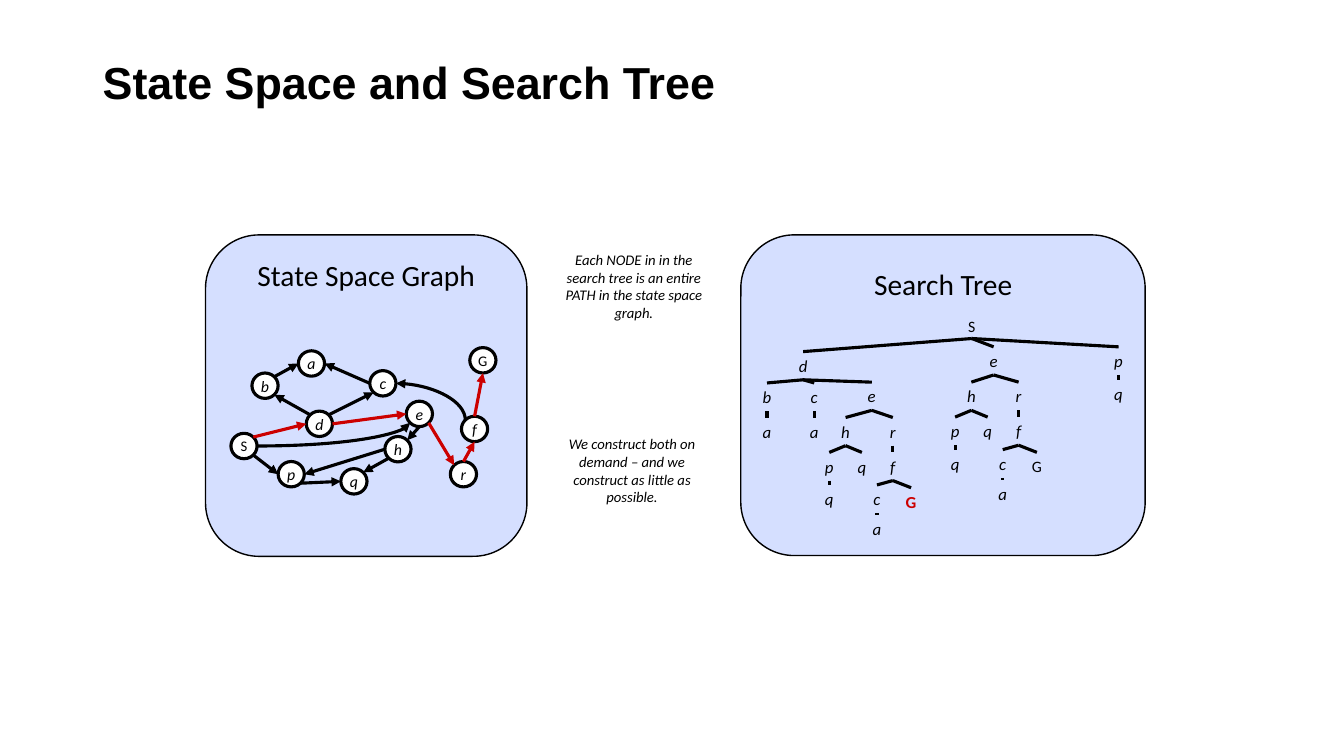
"""Builds a slide that sets a state space graph beside its search tree."""
from math import cos, radians, sin

from lxml import etree
from pptx import Presentation
from pptx.dml.color import RGBColor
from pptx.enum.shapes import MSO_CONNECTOR, MSO_SHAPE
from pptx.enum.text import MSO_ANCHOR, MSO_AUTO_SIZE, PP_ALIGN
from pptx.oxml.ns import qn
from pptx.util import Cm, Pt

STRAIGHT, CURVE = MSO_CONNECTOR.STRAIGHT, MSO_CONNECTOR.CURVE
ROUNDED, CIRCLE = MSO_SHAPE.ROUNDED_RECTANGLE, MSO_SHAPE.FLOWCHART_CONNECTOR
MIDDLE, CENTER = MSO_ANCHOR.MIDDLE, PP_ALIGN.CENTER
GROW = MSO_AUTO_SIZE.SHAPE_TO_FIT_TEXT
BLACK, RED, WHITE, PANEL = "000000", "CC0000", "FFFFFF", "D5DFFF"
color = RGBColor.from_string

prs = Presentation()
prs.slide_width, prs.slide_height = Cm(33.87), Cm(19.05)
slide = prs.slides.add_slide(prs.slide_layouts[6])
shapes = slide.shapes


def add_text(text, left, top, width, height, size, italic=False, bold=False, ink=BLACK):
    """Add a centred text box and return its frame."""
    frame = shapes.add_textbox(Cm(left), Cm(top), Cm(width), Cm(height)).text_frame
    frame.word_wrap = True
    frame.auto_size = GROW
    frame.margin_left = frame.margin_right = Cm(0.18)
    frame.margin_top = frame.margin_bottom = Cm(0.1)
    frame.text = text
    paragraph = frame.paragraphs[0]
    paragraph.alignment = CENTER
    font = paragraph.runs[0].font
    font.name, font.size, font.italic, font.bold = "Calibri", Pt(size), italic, bold
    font.color.rgb = color(ink)
    return frame


def add_link(start, end, ink=BLACK, kind=STRAIGHT, arrow=False):
    """Add a connector between two points and return it."""
    link = shapes.add_connector(kind, *(Cm(value) for value in (*start, *end)))
    link.line.color.rgb = color(ink)
    link.line.width = Pt(2.25)
    if arrow:
        etree.SubElement(link.line._get_or_add_ln(), qn("a:tailEnd"), type="triangle")
    etree.SubElement(link._element.spPr, qn("a:effectLst"))
    return link


heading = add_text("State Space and Search Tree", 2.34, 1.02, 29.21, 2.26, 32, bold=True)
heading.auto_size = MSO_AUTO_SIZE.NONE
heading.margin_left = heading.margin_right = Cm(0.25)
heading.vertical_anchor = MIDDLE
heading.paragraphs[0].alignment = PP_ALIGN.LEFT
heading.paragraphs[0].line_spacing = 0.9
heading.paragraphs[0].runs[0].font.name = "Arial"

for left, width, height in [(18.67, 10.19, 8.08), (5.18, 8.1, 8.1)]:
    panel = shapes.add_shape(ROUNDED, Cm(left), Cm(5.92), Cm(width), Cm(height))
    panel.shadow.inherit = False
    panel.fill.solid()
    panel.fill.fore_color.rgb = color(PANEL)
    panel.line.color.rgb = color(BLACK)
    panel.line.width = Pt(1)

# Each entry: key, parent key, centre x, top
tree = [
    ("S", None, 24.49, 7.87),
    ("d", "S", 20.24, 8.86), ("e2", "S", 25.04, 8.74), ("p", "S", 28.19, 8.74),
    ("q", "p", 28.19, 9.58),
    ("b", "d", 19.33, 9.65), ("c", "d", 20.52, 9.65), ("e1", "d", 21.97, 9.63),
    ("a3", "b", 19.33, 10.54), ("a4", "c", 20.52, 10.54),
]
below_e = [
    ("h", "e", 21.31, 10.52), ("r", "e", 22.5, 10.52),
    ("p", "h", 20.9, 11.4), ("q", "h", 21.72, 11.4), ("f", "r", 22.5, 11.4),
    ("qq", "p", 20.9, 12.22), ("c", "f", 22.1, 12.22), ("G", "f", 22.96, 12.29),
    ("a", "c", 22.1, 12.98),
]
for branch, shift_x, shift_y in [("1", 0, 0), ("2", 3.17, -0.89)]:
    for key, parent, x, top in below_e:
        tree.append((key + branch, parent + branch, x + shift_x, top + shift_y))

row_height = 0.71
bottoms = {}
for key, parent, x, top in tree:
    letter = key[0]
    goal = key == "G1"
    width = 1.32 if letter.isupper() else 0.66
    size = 11.25 if letter.isupper() and not goal else 12
    add_text(letter, x - width / 2, top, width, row_height, size,
             letter.islower(), goal, RED if goal else BLACK)
    bottoms[key] = (x, top + (0.66 if key == "S" else row_height))
    if parent:
        add_link(bottoms[parent], (x, top))

states = {
    "S": (6.15, 11.24), "G": (12.17, 9.08), "d": (8.05, 10.68), "b": (6.68, 9.72),
    "p": (7.34, 11.95), "q": (8.92, 12.13), "c": (9.65, 9.66), "e": (10.57, 10.43),
    "h": (10.03, 11.32), "a": (7.85, 9.16), "f": (11.96, 10.81), "r": (11.68, 11.95),
}
state_width, state_height = 0.66, 0.64
compass = ["N", "NW", "W", "SW", "S", "SE", "E", "NE"]
sites = {}
for name, (x, y) in states.items():
    state = shapes.add_shape(CIRCLE, Cm(x - state_width / 2), Cm(y - state_height / 2),
                             Cm(state_width), Cm(state_height))
    state.shadow.inherit = False
    state.fill.solid()
    state.fill.fore_color.rgb = color(WHITE)
    state.line.color.rgb = color(BLACK)
    state.line.width = Pt(2.25)
    frame = state.text_frame
    frame.word_wrap = False
    frame.vertical_anchor = MIDDLE
    frame.text = name
    frame.paragraphs[0].alignment = CENTER
    font = frame.paragraphs[0].runs[0].font
    font.name, font.italic = "Calibri", name.islower()
    font.size = Pt(11.25 if name.islower() else 10.5)
    font.color.rgb = color(BLACK)
    for step, direction in enumerate(compass):
        angle = radians(45 * step)
        sites[name, direction] = (x - state_width / 2 * sin(angle),
                                  y - state_height / 2 * cos(angle))

moves = [
    ("S", "SE", "p", "W", BLACK), ("p", "SE", "q", "W", BLACK),
    ("h", "SW", "q", "NE", BLACK), ("h", "W", "p", "E", BLACK),
    ("e", "S", "h", "NE", BLACK), ("e", "SE", "r", "NW", RED),
    ("r", "N", "f", "S", RED), ("f", "N", "G", "S", RED),
    ("S", "NE", "d", "W", RED), ("d", "NW", "b", "SE", BLACK),
    ("b", "NE", "a", "W", BLACK), ("c", "W", "a", "E", BLACK),
    ("d", "NE", "c", "SW", BLACK), ("d", "E", "e", "W", RED),
]
for source, leaving, target, entering, ink in moves:
    add_link(sites[source, leaving], sites[target, entering], ink, arrow=True)

for start, end, quarter_turn in [(sites["f", "NW"], sites["c", "E"], True),
                                 (sites["S", "E"], sites["e", "SW"], False)]:
    if quarter_turn:
        middle_x, middle_y = (start[0] + end[0]) / 2, (start[1] + end[1]) / 2
        half_x, half_y = start[0] - middle_x, start[1] - middle_y
        start = (middle_x + half_y, middle_y - half_x)
        end = (middle_x - half_y, middle_y + half_x)
    bend = add_link(start, end, kind=CURVE, arrow=True)
    bend._element.spPr.find(qn("a:prstGeom")).set("prst", "curvedConnector2")
    if quarter_turn:
        bend._element.spPr.find(qn("a:xfrm")).set("rot", "5400000")

add_text("We construct both on demand – and we construct as little as possible.",
         13.77, 10.87, 4.32, 1.98, 10.5, italic=True)
add_text("Each NODE in in the search tree is an entire PATH in the state space graph.",
         13.92, 6.22, 4.11, 1.98, 10.5, italic=True)
add_text("Search Tree", 18.69, 6.6, 10.16, 1.09, 21)
add_text("State Space Graph", 5.66, 6.38, 7.14, 1.09, 21)

prs.save("out.pptx")
